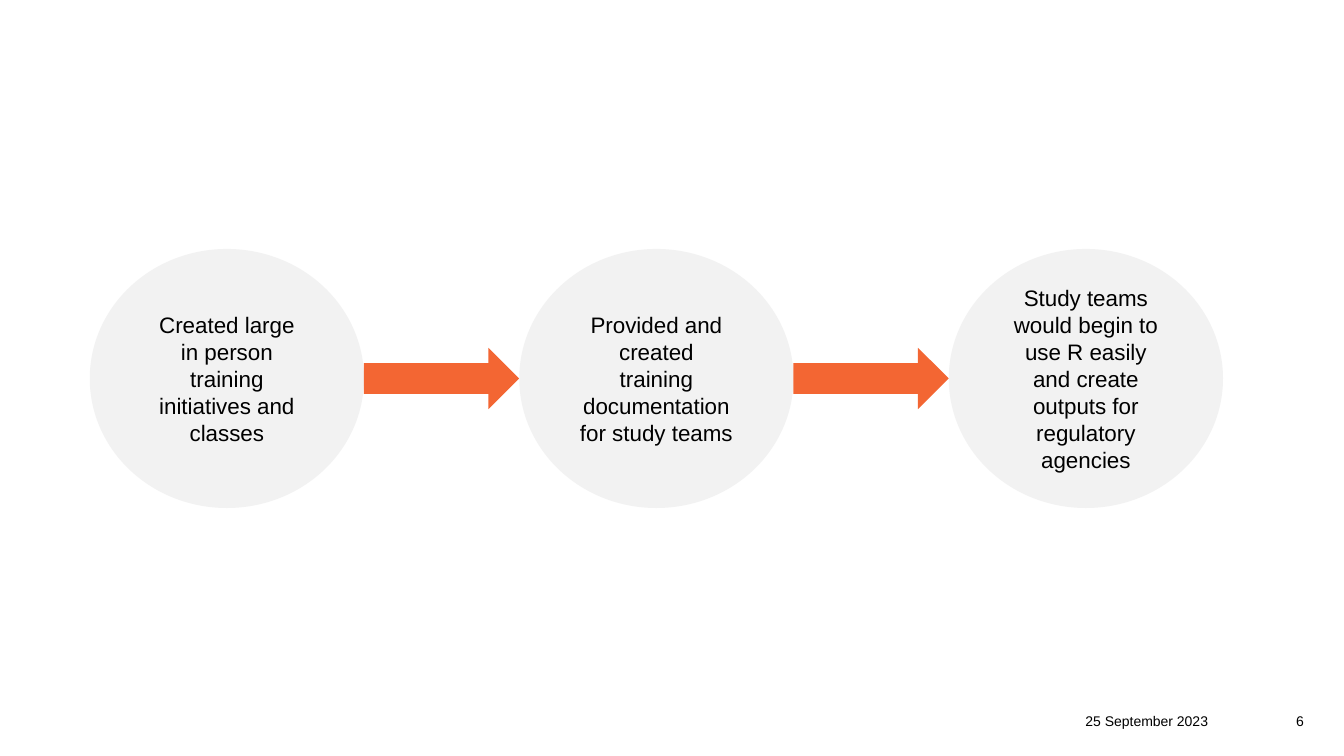
from pptx import Presentation
from pptx.dml.color import RGBColor
from pptx.enum.shapes import MSO_SHAPE
from pptx.enum.text import MSO_ANCHOR, PP_ALIGN
from pptx.util import Inches, Pt

OVAL, ARROW = MSO_SHAPE.OVAL, MSO_SHAPE.RIGHT_ARROW
MIDDLE, BOTTOM = MSO_ANCHOR.MIDDLE, MSO_ANCHOR.BOTTOM
CENTER, RIGHT = PP_ALIGN.CENTER, PP_ALIGN.RIGHT

deck = Presentation()
deck.slide_width, deck.slide_height = Inches(13.33), Inches(7.5)
slide = deck.slides.add_slide(deck.slide_layouts[6])
shapes = slide.shapes


def paint(fill, color):
    fill.solid()
    fill.fore_color.rgb = RGBColor.from_string(color)


def write(shape, text, size, align, anchor, inset):
    frame = shape.text_frame
    frame.word_wrap = True
    frame.vertical_anchor = anchor
    frame.margin_left = frame.margin_right = Inches(inset)
    frame.margin_top = frame.margin_bottom = Inches(inset)
    para = frame.paragraphs[0]
    para.alignment = align
    run = para.add_run()
    run.text = text
    run.font.name, run.font.size = "Arial", Pt(size)
    paint(run.font.fill, "000000")


# Footer: date and slide number
for left, width, text in [(8.94, 3.04, "25 September 2023"), (12.34, 0.59, "6")]:
    box = shapes.add_textbox(Inches(left), Inches(6.94), Inches(width), Inches(0.3))
    write(box, text, 10, RIGHT, BOTTOM, 0)

# Row of steps: each column holds a circle and the arrow that follows it
first, top, step = 0.89, 2.47, 4.26
wide, high, thick = 2.72, 2.57, 0.61
steps = [
    "Created large in person training initiatives and classes",
    "Provided and created training documentation for study teams",
    "Study teams would begin to use R easily and create outputs for regulatory agencies",
]
for col, text in enumerate(steps):
    left = first + col * step
    parts = [(OVAL, left, top, wide, high, "F2F2F2")]
    if col < len(steps) - 1:
        mid = top + (high - thick) / 2
        parts.append((ARROW, left + wide, mid, step - wide, thick, "F36633"))
    for kind, x, y, w, h, color in parts:
        shape = shapes.add_shape(kind, Inches(x), Inches(y), Inches(w), Inches(h))
        shape.shadow.inherit = False
        shape.line.fill.background()
        paint(shape.fill, color)
        if kind == OVAL:
            write(shape, text, 16, CENTER, MIDDLE, 0.2)

deck.save("out.pptx")
